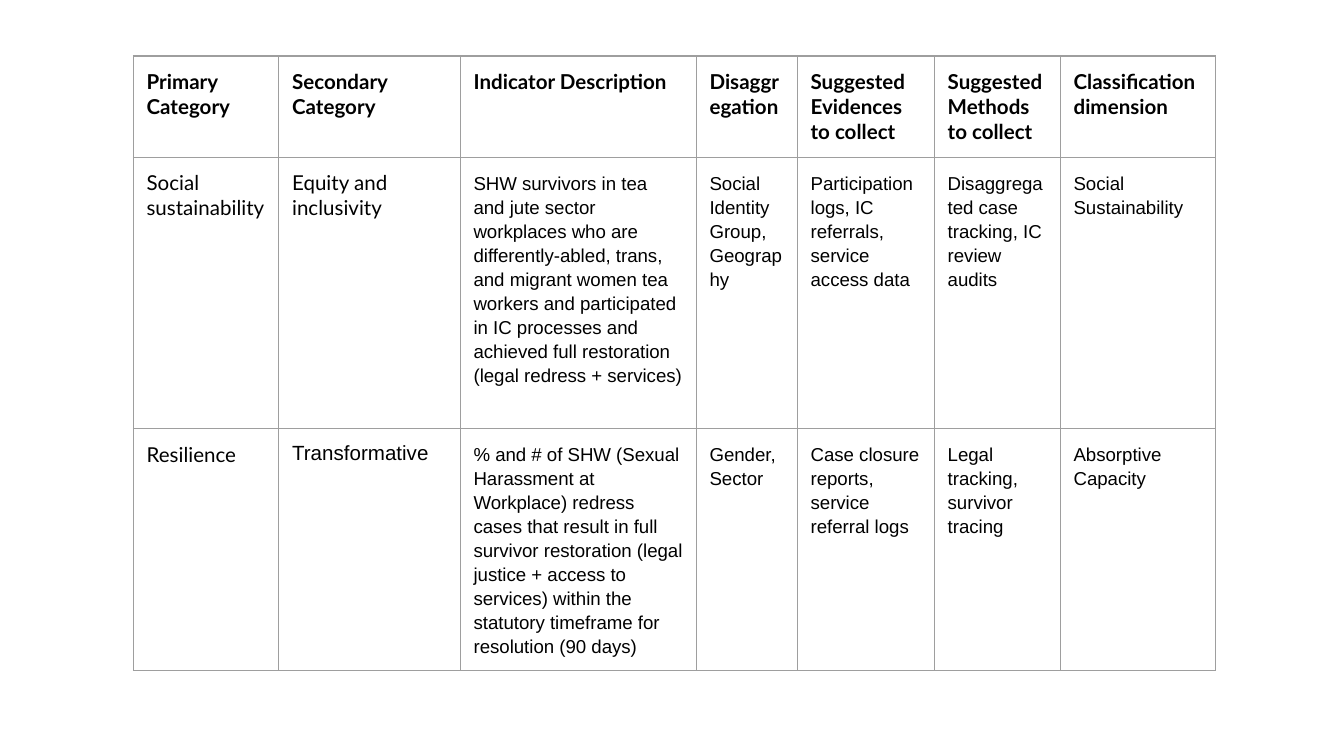
"""Build a slide with a table of indicators, evidence and methods."""
from dataclasses import dataclass

from lxml import etree
from pptx import Presentation
from pptx import util as u
from pptx.dml.color import RGBColor
from pptx.oxml import ns

BLACK = "000000"
GREY = "9E9E9E"
INSET = u.Cm(0.25)
ROW_HEIGHTS = (1.91, 5.13, 4.57)


@dataclass
class Column:
    width: float
    header: str
    entries: tuple[str, str]
    fonts: tuple[str, str] = ("Arial", "Arial")
    size: float = 10
    spacing: float = 1.15


COLUMNS = (
    Column(2.75, "Primary Category", ("Social sustainability", "Resilience"),
           ("Lato", "Lato"), 11, 1),
    Column(3.43, "Secondary Category", ("Equity and inclusivity", "Transformative"),
           ("Lato", "Arial"), 11, 1),
    Column(4.46, "Indicator Description", (
        "SHW survivors in tea and jute sector workplaces who are differently-abled, "
        "trans, and migrant women tea workers and participated in IC processes and "
        "achieved full restoration (legal redress + services)",
        "% and # of SHW (Sexual Harassment at Workplace) redress cases that result in "
        "full survivor restoration (legal justice + access to services) within the "
        "statutory timeframe for resolution (90 days)")),
    Column(1.91, "Disaggregation", ("Social Identity Group, Geography", "Gender, Sector")),
    Column(2.59, "Suggested Evidences to collect", (
        "Participation logs, IC referrals, service access data",
        "Case closure reports, service referral logs")),
    Column(2.38, "Suggested Methods to collect", (
        "Disaggregated case tracking, IC review audits",
        "Legal tracking, survivor tracing")),
    Column(2.93, "Classification dimension", ("Social Sustainability", "Absorptive Capacity")),
)


def color(value: str) -> RGBColor:
    return RGBColor.from_string(value)


def write_text(cell, content: str, *, font: str = "Lato", size: float = 11,
               bold: bool = False, spacing: float = 1, fill: str = BLACK) -> None:
    paragraph = cell.text_frame.paragraphs[0]
    paragraph.line_spacing = spacing
    run = paragraph.add_run()
    run.text = content
    run.font.name = font
    run.font.size = u.Pt(size)
    run.font.bold = bold
    run.font.color.rgb = color(fill)


def format_cell(cell, border: str = GREY, weight: float = 0.75) -> None:
    cell.margin_left = cell.margin_right = INSET
    cell.margin_top = cell.margin_bottom = INSET
    properties = cell._tc.get_or_add_tcPr()
    for side in ("a:lnL", "a:lnR", "a:lnT", "a:lnB"):
        line = etree.SubElement(properties, ns.qn(side), w=str(u.Pt(weight)))
        solid = etree.SubElement(line, ns.qn("a:solidFill"))
        etree.SubElement(solid, ns.qn("a:srgbClr"), val=border)
    cell.fill.background()


def add_indicator_table(slide, left: float, top: float) -> None:
    width = sum(column.width for column in COLUMNS)
    shape = slide.shapes.add_table(
        len(ROW_HEIGHTS), len(COLUMNS),
        u.Cm(left), u.Cm(top), u.Cm(width), u.Cm(sum(ROW_HEIGHTS)))
    table = shape.table
    table.first_row = table.horz_banding = False
    for row, height in zip(table.rows, ROW_HEIGHTS):
        row.height = u.Cm(height)
    for index, column in enumerate(COLUMNS):
        table.columns[index].width = u.Cm(column.width)
        write_text(table.cell(0, index), column.header, bold=True)
        for row, (entry, font) in enumerate(zip(column.entries, column.fonts), start=1):
            write_text(table.cell(row, index), entry, font=font,
                       size=column.size, spacing=column.spacing)
    for cell in table.iter_cells():
        format_cell(cell)


def main() -> None:
    presentation = Presentation()
    presentation.slide_width = u.Cm(25.4)
    presentation.slide_height = u.Cm(14.29)
    slide = presentation.slides.add_slide(presentation.slide_layouts[6])
    add_indicator_table(slide, 2.52, 1.06)
    presentation.save("out.pptx")


if __name__ == "__main__":
    main()
